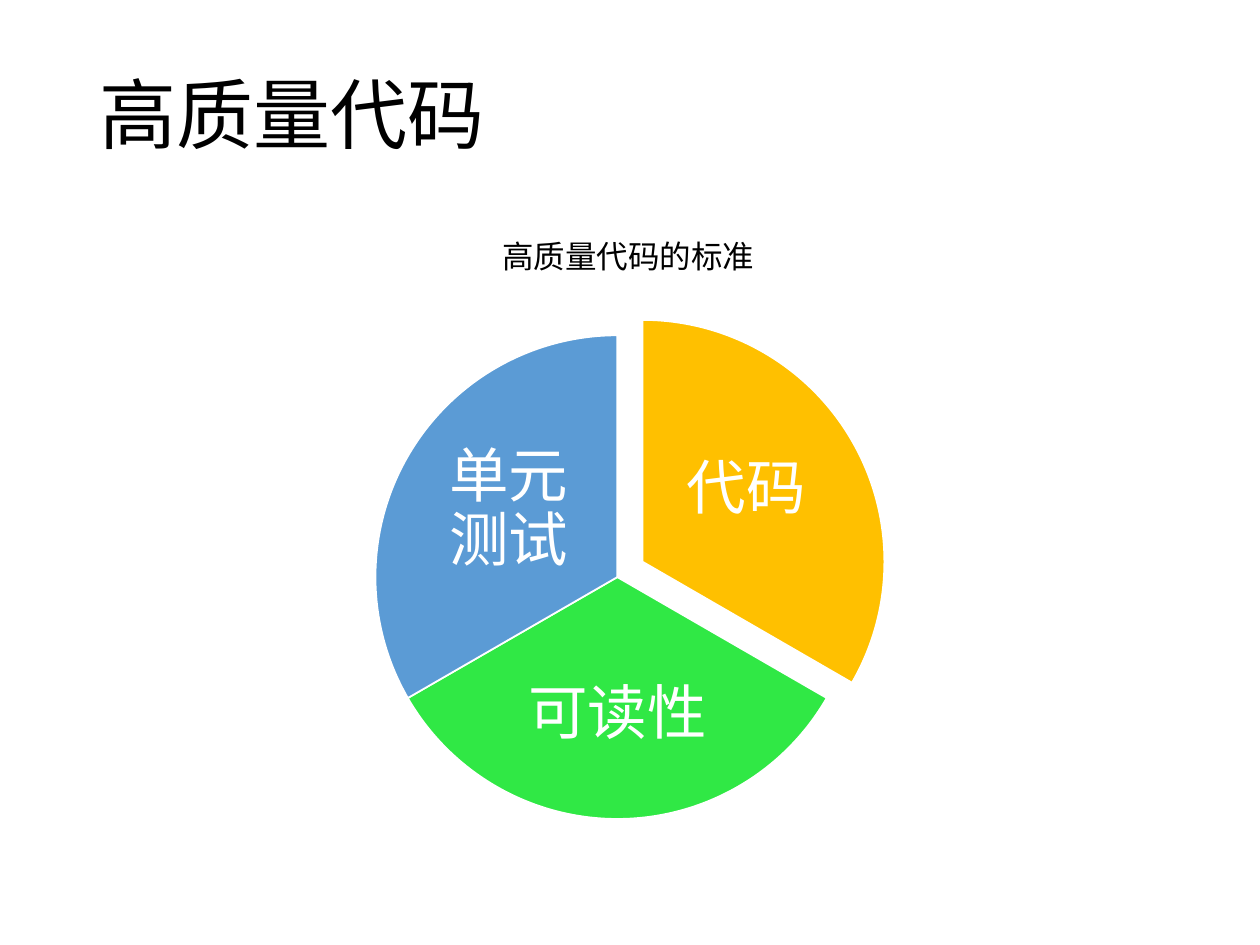
from pptx import Presentation
from pptx.dml.color import RGBColor
from pptx.enum.shapes import MSO_SHAPE
from pptx.enum.text import MSO_ANCHOR, MSO_AUTO_SIZE, PP_ALIGN
from pptx.util import Cm, Pt

BLACK = RGBColor(0x00, 0x00, 0x00)
WHITE = RGBColor(0xFF, 0xFF, 0xFF)
GOLD = RGBColor(0xFF, 0xC0, 0x00)
GREEN = RGBColor(0x30, 0xE8, 0x45)
BLUE = RGBColor(0x5B, 0x9B, 0xD5)

DIAMETER = 9.75
FULL_TURN = 216  # pie adjustment units in a full circle
TOP = 162        # twelve o'clock in the same units


class SlideBuilder:
    font = "Calibri"

    def __init__(self, slide):
        self.slide = slide

    def set_text(self, sp, text, size, color, align, spacing=None, **frame):
        tf = sp.text_frame
        for name, value in frame.items():
            setattr(tf, name, value)
        p = tf.paragraphs[0]
        p.alignment = align
        p.line_spacing = spacing
        r = p.add_run()
        r.text = text
        for name, value in {"name": self.font, "size": Pt(size)}.items():
            setattr(r.font, name, value)
        r.font.color.rgb = color

    def title(self, text, box):
        sp = self.slide.shapes.title
        sp.left, sp.top, sp.width, sp.height = [Cm(v) for v in box]
        self.set_text(sp, text, 44, BLACK, PP_ALIGN.LEFT, 0.9,
                      vertical_anchor=MSO_ANCHOR.MIDDLE,
                      auto_size=MSO_AUTO_SIZE.NONE)

    def sector(self, shapes, left, top, start, end, color):
        sp = shapes.add_shape(MSO_SHAPE.PIE, Cm(left), Cm(top),
                              Cm(DIAMETER), Cm(DIAMETER))
        sp.adjustments[0], sp.adjustments[1] = start, end
        sp.shadow.inherit = False
        sp.fill.solid()
        sp.fill.fore_color.rgb = color
        sp.line.color.rgb = WHITE
        sp.line.width = Pt(1)

    def label(self, shapes, text, box):
        sp = shapes.add_textbox(*[Cm(v) for v in box])
        margins = {f"margin_{side}": Cm(0.12)
                   for side in ("left", "top", "right", "bottom")}
        self.set_text(sp, text, 34, WHITE, PP_ALIGN.CENTER, 0.9, word_wrap=True,
                      vertical_anchor=MSO_ANCHOR.MIDDLE, **margins)

    def caption(self, text, box):
        sp = self.slide.shapes.add_textbox(*[Cm(v) for v in box])
        self.set_text(sp, text, 18, BLACK, PP_ALIGN.LEFT, word_wrap=False,
                      auto_size=MSO_AUTO_SIZE.SHAPE_TO_FIT_TEXT)


prs = Presentation()
prs.slide_width, prs.slide_height = Cm(25.4), Cm(19.05)
s = prs.slides.add_slide(prs.slide_layouts[5])
builder = SlideBuilder(s)

# Title
builder.title("高质量代码", (1.75, 1.02, 21.9, 2.72))

# Three equal sectors, clockwise from the top; the first is pulled out
sectors = [
    ("代码", GOLD, (8.08, 6.45), (13.39, 8.26, 3.3, 3.25)),
    ("可读性", GREEN, (7.57, 6.76), (10.24, 12.9, 4.42, 3.02)),
    ("单元测试", BLUE, (7.57, 6.76), (8.61, 8.66, 3.3, 3.25)),
]
pie = s.shapes.add_group_shape()
step = FULL_TURN / len(sectors)
for i, (text, color, (left, top), box) in enumerate(sectors):
    start = (TOP + i * step) % FULL_TURN
    builder.sector(pie.shapes, left, top, start, (start + step) % FULL_TURN, color)
    builder.label(pie.shapes, text, box)

# Caption above the pie
builder.caption("高质量代码的标准", (9.88, 4.65, 5.64, 1.02))

prs.save("out.pptx")
